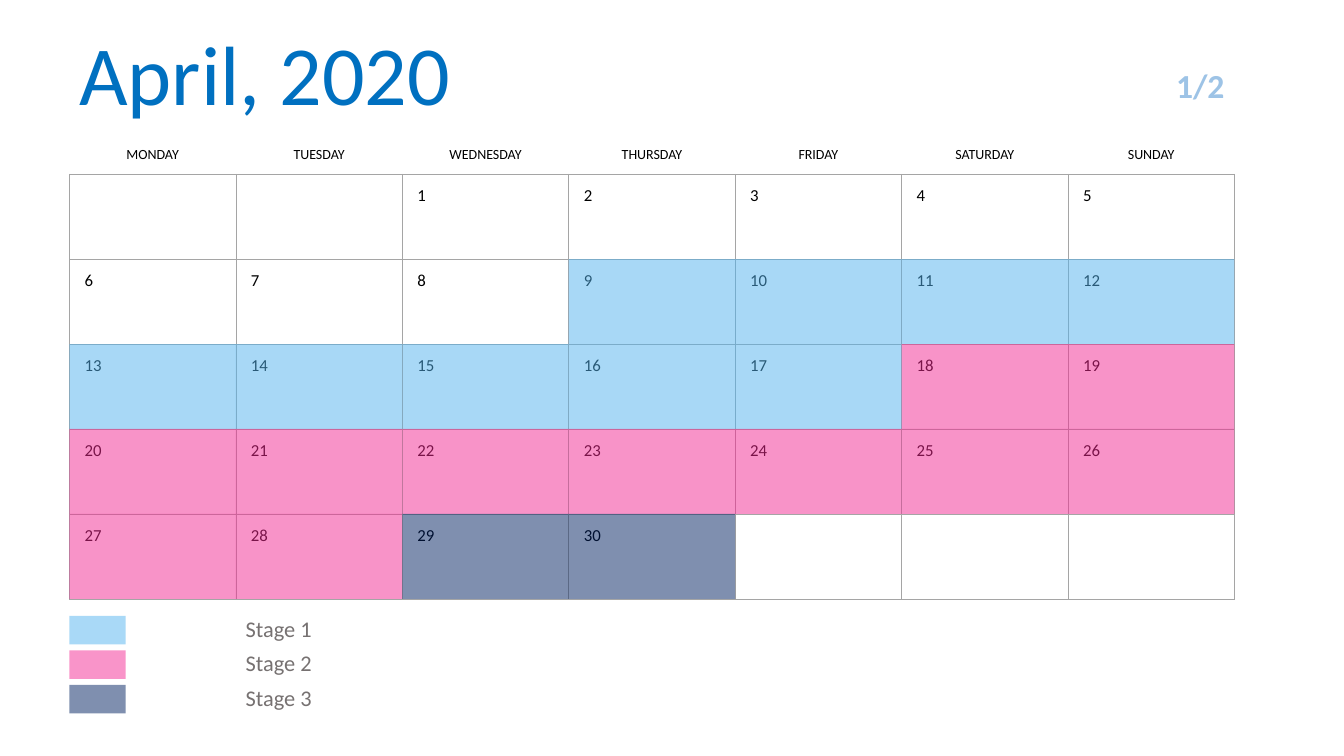
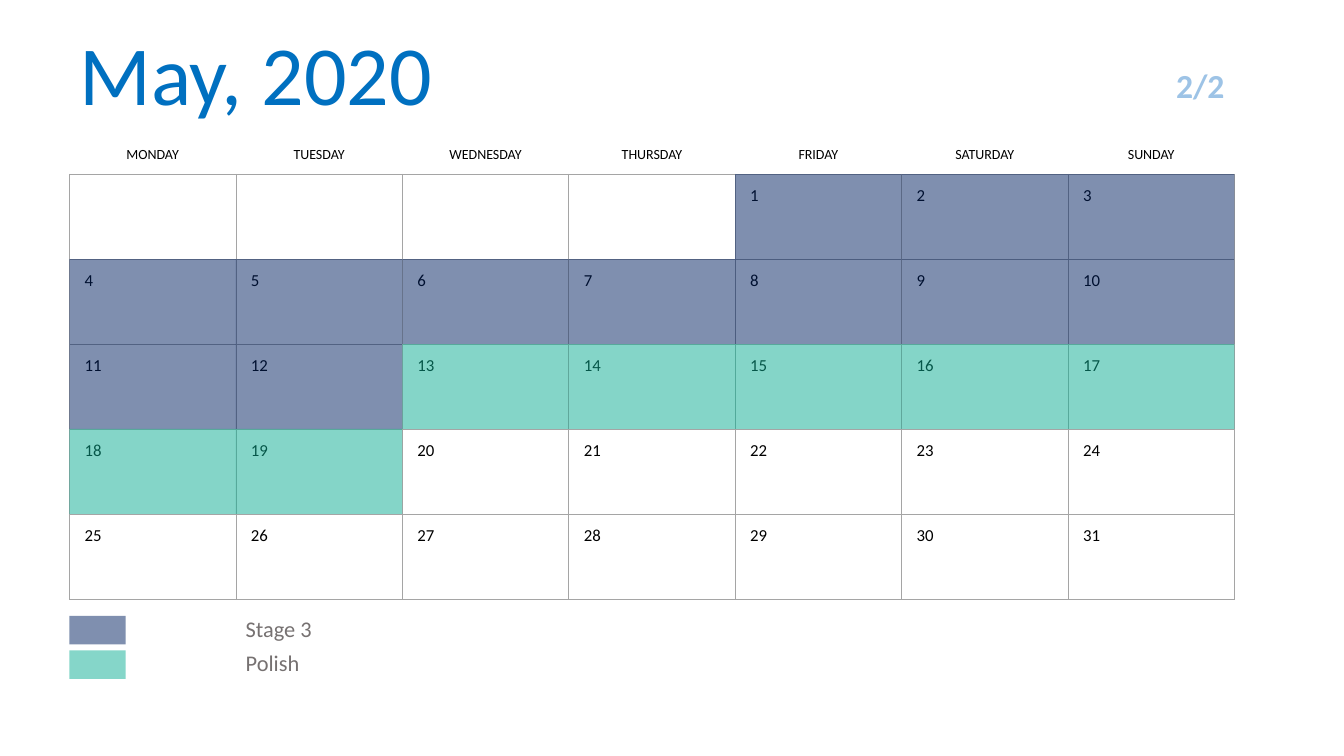
from dataclasses import dataclass

from lxml.etree import SubElement
from pptx import Presentation
from pptx.dml.color import RGBColor
from pptx.enum.shapes import MSO_SHAPE
from pptx.enum.text import MSO_ANCHOR as Anchor, PP_ALIGN as Align
from pptx.oxml.ns import qn
from pptx.util import Cm, Pt

FONT = "Calibri"
BLACK = RGBColor(0x00, 0x00, 0x00)
TITLE_BLUE = RGBColor(0x00, 0x70, 0xC0)
PAGE_BLUE = RGBColor(0x9D, 0xC3, 0xE6)
LABEL_GREY = RGBColor(0x76, 0x71, 0x71)
GRID_GREY = RGBColor(0xA5, 0xA5, 0xA5)
SKY = RGBColor(0x52, 0xB3, 0xEE)
SKY_LIGHT = RGBColor(0xA9, 0xD9, 0xF7)
PINK = RGBColor(0xF3, 0x29, 0x93)
PINK_LIGHT = RGBColor(0xF9, 0x94, 0xC9)
NAVY = RGBColor(0x00, 0x20, 0x60)
NAVY_LIGHT = RGBColor(0x7F, 0x8F, 0xAF)
TEAL = RGBColor(0x0B, 0xAD, 0x92)
TEAL_LIGHT = RGBColor(0x85, 0xD6, 0xC9)

WEEKDAYS = ("MONDAY", "TUESDAY", "WEDNESDAY", "THURSDAY", "FRIDAY", "SATURDAY", "SUNDAY")
WEEKS = 5
LEFT = 1.75
TABLE_TOP = 3.42
HEADER_HEIGHT = 0.97
DAY_WIDTH = 29.36 / len(WEEKDAYS)
DAY_HEIGHT = 2.14
LEGEND_TOP = 15.52
LEGEND_STEP = 0.87
NO_STYLE = "{2D5ABB26-0587-4C30-8999-92F81FD0307C}"


@dataclass
class Stage:
    label: str
    color: RGBColor
    legend_color: RGBColor
    first_day: int
    last_day: int


@dataclass
class Month:
    title: str
    first_weekday: int
    day_count: int
    stages: list


MONTHS = [
    Month("April, 2020", 2, 30, [
        Stage("Stage 1", SKY, SKY_LIGHT, 9, 17),
        Stage("Stage 2", PINK, PINK_LIGHT, 18, 28),
        Stage("Stage 3", NAVY, NAVY_LIGHT, 29, 30),
    ]),
    Month("May, 2020", 4, 31, [
        Stage("Stage 3", NAVY, NAVY_LIGHT, 1, 12),
        Stage("Polish", TEAL, TEAL_LIGHT, 13, 19),
    ]),
]


class CalendarDeck:
    def __init__(self):
        self.presentation = Presentation()
        self.presentation.slide_width = Cm(33.87)
        self.presentation.slide_height = Cm(19.05)
        self.slide = None

    def add_slide(self):
        layout = self.presentation.slide_layouts[6]
        self.slide = self.presentation.slides.add_slide(layout)

    def format_text(self, text_frame, size, color, bold=False, align=Align.LEFT, spacing=1.0):
        for paragraph in text_frame.paragraphs:
            paragraph.alignment = align
            paragraph.line_spacing = spacing
            for run in paragraph.runs:
                run.font.name = FONT
                run.font.size = Pt(size)
                run.font.bold = bold
                run.font.color.rgb = color

    def text(self, text, left, top, width, height, size, color, anchor=Anchor.TOP, **style):
        box = self.slide.shapes.add_textbox(Cm(left), Cm(top), Cm(width), Cm(height))
        frame = box.text_frame
        frame.word_wrap = True
        frame.vertical_anchor = anchor
        frame.text = text
        self.format_text(frame, size, color, **style)

    def rectangle(self, left, top, width, height, color, opacity=100):
        shape = self.slide.shapes.add_shape(
            MSO_SHAPE.RECTANGLE, Cm(left), Cm(top), Cm(width), Cm(height))
        shape.shadow.inherit = False
        shape.fill.solid()
        shape.fill.fore_color.rgb = color
        shape.line.fill.background()
        if opacity < 100:
            fill_color = shape.element.spPr.find(qn("a:solidFill")).find(qn("a:srgbClr"))
            SubElement(fill_color, qn("a:alpha"), val=str(opacity * 1000))

    def borders(self, cell, sides):
        properties = cell._tc.get_or_add_tcPr()
        for side in sides:
            line = SubElement(properties, qn(f"a:ln{side}"), w=str(Pt(0.5)))
            fill = SubElement(line, qn("a:solidFill"))
            SubElement(fill, qn("a:srgbClr"), val=str(GRID_GREY))

    def calendar(self, month):
        frame = self.slide.shapes.add_table(
            WEEKS + 1, len(WEEKDAYS), Cm(LEFT), Cm(TABLE_TOP),
            Cm(DAY_WIDTH * len(WEEKDAYS)), Cm(HEADER_HEIGHT + DAY_HEIGHT * WEEKS))
        table = frame.table
        table.first_row = False
        table.horz_banding = False
        for style_id in frame.element.iter(qn("a:tableStyleId")):
            style_id.text = NO_STYLE
        for column in table.columns:
            column.width = Cm(DAY_WIDTH)
        for index, row in enumerate(table.rows):
            row.height = Cm(DAY_HEIGHT if index else HEADER_HEIGHT)
        for column, weekday in enumerate(WEEKDAYS):
            cell = table.cell(0, column)
            cell.text_frame.text = weekday
            cell.vertical_anchor = Anchor.MIDDLE
            self.borders(cell, "B")
            cell.fill.background()
            self.format_text(cell.text_frame, 10, BLACK, align=Align.CENTER)
        for index in range(WEEKS * len(WEEKDAYS)):
            week, weekday = divmod(index, len(WEEKDAYS))
            cell = table.cell(week + 1, weekday)
            cell.margin_left = Cm(0.38)
            self.borders(cell, "LRTB")
            cell.fill.background()
            day = index - month.first_weekday + 1
            if 1 <= day <= month.day_count:
                cell.text_frame.text = str(day)
                self.format_text(cell.text_frame, 12, BLACK, spacing=1.3)

    def highlight(self, month, stage):
        for day in range(stage.first_day, stage.last_day + 1):
            week, weekday = divmod(month.first_weekday + day - 1, len(WEEKDAYS))
            self.rectangle(
                LEFT + weekday * DAY_WIDTH,
                TABLE_TOP + HEADER_HEIGHT + week * DAY_HEIGHT,
                DAY_WIDTH, DAY_HEIGHT, stage.color, opacity=50)

    def legend(self, stages):
        for index, stage in enumerate(stages):
            top = LEGEND_TOP + index * LEGEND_STEP
            self.rectangle(LEFT, top, 1.42, 0.72, stage.legend_color)
            self.text(stage.label, LEFT + DAY_WIDTH, top - 0.15, 4.78, 0.94, 16, LABEL_GREY)

    def month(self, month, page, page_count):
        self.add_slide()
        self.text(month.title, LEFT, 0.05, 10.19, 3.18, 60, TITLE_BLUE,
                  anchor=Anchor.BOTTOM, spacing=0.9)
        self.text(f"{page}/{page_count}", 28.8, 1.63, 2.31, 1.14, 24, PAGE_BLUE,
                  anchor=Anchor.BOTTOM, bold=True, align=Align.RIGHT, spacing=0.8)
        self.calendar(month)
        for stage in month.stages:
            self.highlight(month, stage)
        self.legend(month.stages)


deck = CalendarDeck()
for page, month in enumerate(MONTHS, start=1):
    deck.month(month, page, len(MONTHS))
deck.presentation.save("out.pptx")
